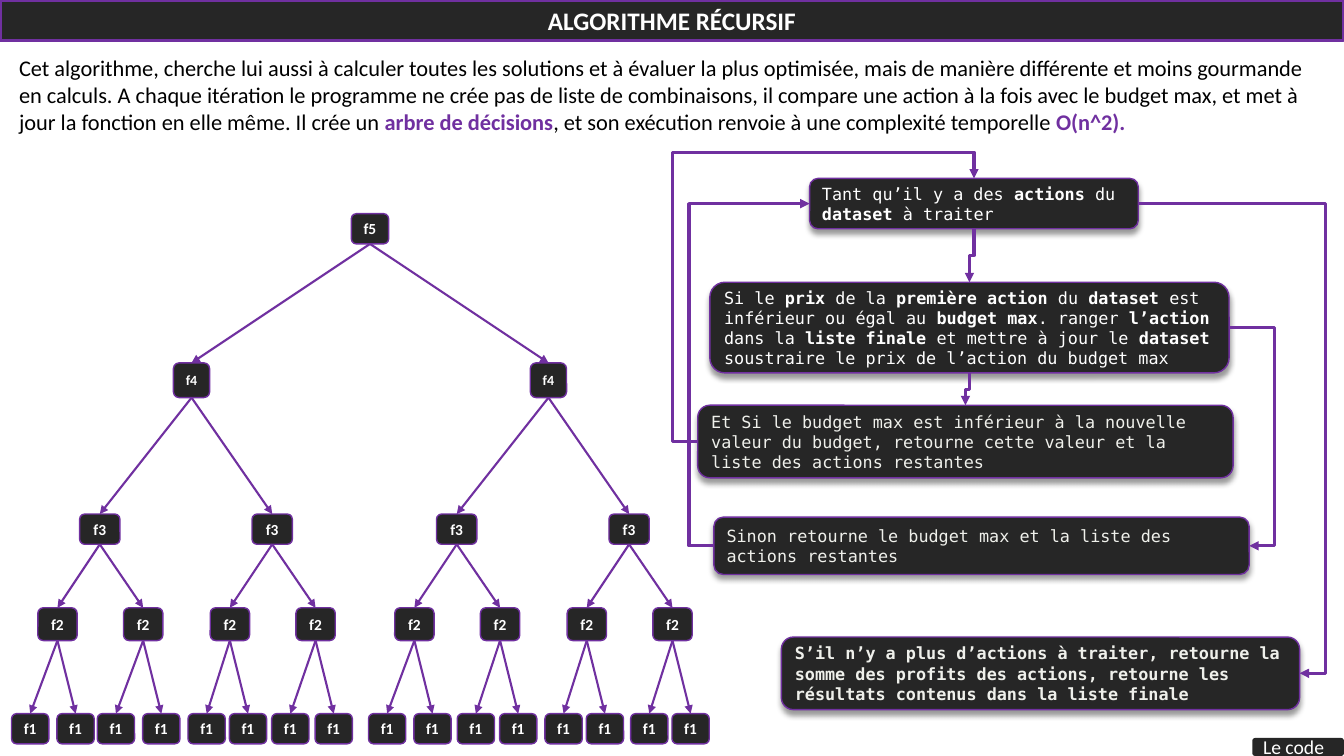
"""Build the slide on the recursive algorithm: a call tree beside its decision flow."""
from lxml.etree import SubElement
from pptx import Presentation
from pptx.dml.color import RGBColor
from pptx.enum.shapes import MSO_CONNECTOR as LINK, MSO_SHAPE as SHAPE
from pptx.enum.text import MSO_ANCHOR as ANCHOR, PP_ALIGN as ALIGN
from pptx.oxml.ns import qn
from pptx.util import Inches, Pt

COLORS = {"dark": "262626", "purple": "7030A0", "white": "FFFFFF", "pale": "EFF0EB", "black": "000000"}
CELL = Inches(0.1)
MONO = "DejaVu Sans Mono"

deck = Presentation()
deck.slide_width, deck.slide_height = Inches(13.33), Inches(7.5)
slide = deck.slides.add_slide(deck.slide_layouts[6])


def write(text, *, at, shape=SHAPE.ROUNDED_RECTANGLE, fill="dark", border=1, size=11, font="Calibri",
          color="white", strong=None, align=ALIGN.LEFT, anchor=ANCHOR.MIDDLE, shadow=False):
    """Place text in a box given in grid cells; **marks** enclose bold words."""
    box = slide.shapes.add_shape(shape, *(round(cells * CELL) for cells in at))
    box.shadow.inherit = False
    if fill:
        box.fill.solid()
        box.fill.fore_color.rgb = RGBColor.from_string(COLORS[fill])
    else:
        box.fill.background()
    if border:
        box.line.color.rgb = RGBColor.from_string(COLORS["purple"])
        box.line.width = Pt(border)
    else:
        box.line.fill.background()
    if shadow:
        effects = box._element.spPr.find(qn("a:effectLst"))
        cast = SubElement(effects, qn("a:outerShdw"), blurRad=str(Pt(4)), dist=str(Pt(3)),
                          dir="5400000", algn="t", rotWithShape="0")
        tint = SubElement(cast, qn("a:srgbClr"), val=COLORS["black"])
        SubElement(tint, qn("a:alpha"), val="40000")
    frame = box.text_frame
    frame.word_wrap = True
    frame.vertical_anchor = anchor
    paragraph = frame.paragraphs[0]
    paragraph.alignment = align
    for index, words in enumerate(text.split("**")):
        if words:
            run = paragraph.add_run()
            run.text = words
            bold = index % 2 == 1
            run.font.name, run.font.size, run.font.bold = font, Pt(size), bold
            run.font.color.rgb = RGBColor.from_string(COLORS[strong if bold and strong else color])


def link(start, end, *, width=2.25, bends=None, preset="bentConnector3", upright=False):
    """Draw an arrow between two grid points, bent when bend shares are given."""
    (x1, y1), (x2, y2) = start, end
    if upright:
        mid_x, mid_y, run, drop = (x1 + x2) / 2, (y1 + y2) / 2, y2 - y1, x1 - x2
        x1, x2, y1, y2 = mid_x - run / 2, mid_x + run / 2, mid_y - drop / 2, mid_y + drop / 2
    arrow = slide.shapes.add_connector(LINK.ELBOW if bends else LINK.STRAIGHT,
                                       *(round(cells * CELL) for cells in (x1, y1, x2, y2)))
    arrow.line.color.rgb = RGBColor.from_string(COLORS["purple"])
    arrow.line.width = Pt(width)
    properties = arrow._element.spPr
    SubElement(properties.find(qn("a:ln")), qn("a:tailEnd"), type="triangle")
    SubElement(properties, qn("a:effectLst"))
    if upright:
        properties.find(qn("a:xfrm")).set("rot", "5400000")
    if bends:
        geometry = properties.find(qn("a:prstGeom"))
        geometry.set("prst", preset)
        guides = geometry.find(qn("a:avLst"))
        for number, share in enumerate(bends, 1):
            SubElement(guides, qn("a:gd"), name=f"adj{number}", fmla=f"val {round(share * 100000)}")


write("**ALGORITHME RÉCURSIF**", at=(0, 0, 133.3, 4), shape=SHAPE.RECTANGLE, border=2.25, size=18,
      align=ALIGN.CENTER, anchor=ANCHOR.TOP)
write("Cet algorithme, cherche lui aussi à calculer toutes les solutions et à évaluer la plus optimisée, "
      "mais de manière différente et moins gourmande en calculs. A chaque itération le programme ne crée pas "
      "de liste de combinaisons, il compare une action à la fois avec le budget max, et met à jour la fonction "
      "en elle même. Il crée un **arbre de décisions**, et son exécution renvoie à une complexité temporelle "
      "**O(n^2).**", at=(0.9, 4.9, 131.5, 9.1), shape=SHAPE.RECTANGLE, fill=None, border=None, size=16,
      color="black", strong="purple", anchor=ANCHOR.TOP)

leaf_lefts = [2.7, 2.7, 2.3, 2.5, 2.7, 2.4, 2.3, 2.3]
levels = [
    ("f5", 3.7, 21.2, 3, 11, []),
    ("f4", 3.6, 36, 3.45, 10, [(-17.7, 17.7)]),
    ("f3", 4, 51, 3, 11, [(-9.1, 8)] * 2),
    ("f2", 3.9, 60.3, 3.25, 11, [(-4.2, 4.3)] * 4),
    ("f1", 3.7, 70.8, 3, 11, [(-left, 1.8) for left in leaf_lefts]),
]
centres, parent_bottom = [36.7], 0
for call, width, top, height, size, spreads in levels:
    if spreads:
        branches = [(parent, parent + shift) for parent, pair in zip(centres, spreads) for shift in pair]
        for parent, child in branches:
            link((parent, parent_bottom), (child, top), width=1.5)
        centres = [child for _, child in branches]
    for centre in centres:
        write(f"**{call}**", at=(centre - width / 2, top, width, height), size=size, align=ALIGN.CENTER)
    parent_bottom = top + height

steps = [
    ("Tant qu’il y a des **actions **du **dataset **à traiter", (80.3, 17.7, 32.6, 5), "white"),
    ("Si le **prix **de la **première action **du **dataset **est inférieur ou égal au **budget max**. ranger "
     "**l’action** dans la **liste finale **et mettre à jour le **dataset** soustraire le prix de l’action "
     "du budget max", (70.4, 28, 51.5, 9), "white"),
    ("Et Si le budget max est inférieur à la nouvelle valeur du budget, retourne cette valeur et la liste des "
     "actions restantes", (69.2, 40.2, 53.1, 7.2), "pale"),
    ("Sinon retourne le budget max et la liste des actions restantes", (70.8, 51.3, 53.1, 5.7), "pale"),
    ("**S’il n’y a plus d’actions à traiter, retourne la somme des profits des actions, retourne les résultats "
     "contenus dans la liste finale**", (77.5, 63.2, 51.4, 7.2), "pale"),
]
for text, place, color in steps:
    write(text, at=place, size=12, font=MONO, color=color, shadow=True)

lefts, rights, tops, bottoms = (
    [(x, y + h / 2) for _, (x, y, w, h), _ in steps],
    [(x + w, y + h / 2) for _, (x, y, w, h), _ in steps],
    [(x + w / 2, y) for _, (x, y, w, h), _ in steps],
    [(x + w / 2, y + h) for _, (x, y, w, h), _ in steps],
)
loop, condition, shrink, otherwise, finish = range(5)
link(bottoms[loop], tops[condition], bends=[0.5], upright=True)
link(bottoms[condition], tops[shrink], bends=[0.5], upright=True)
link(lefts[otherwise], lefts[loop], bends=[-0.26])
link(rights[condition], rights[otherwise], bends=[2.25])
link(rights[loop], rights[finish], bends=[1.16])
link(lefts[shrink], tops[loop], bends=[-0.09, 1.1], preset="bentConnector4")

write("Le code ", at=(124.2, 73.2, 9.1, 1.8), border=None, size=14)

deck.save("out.pptx")
